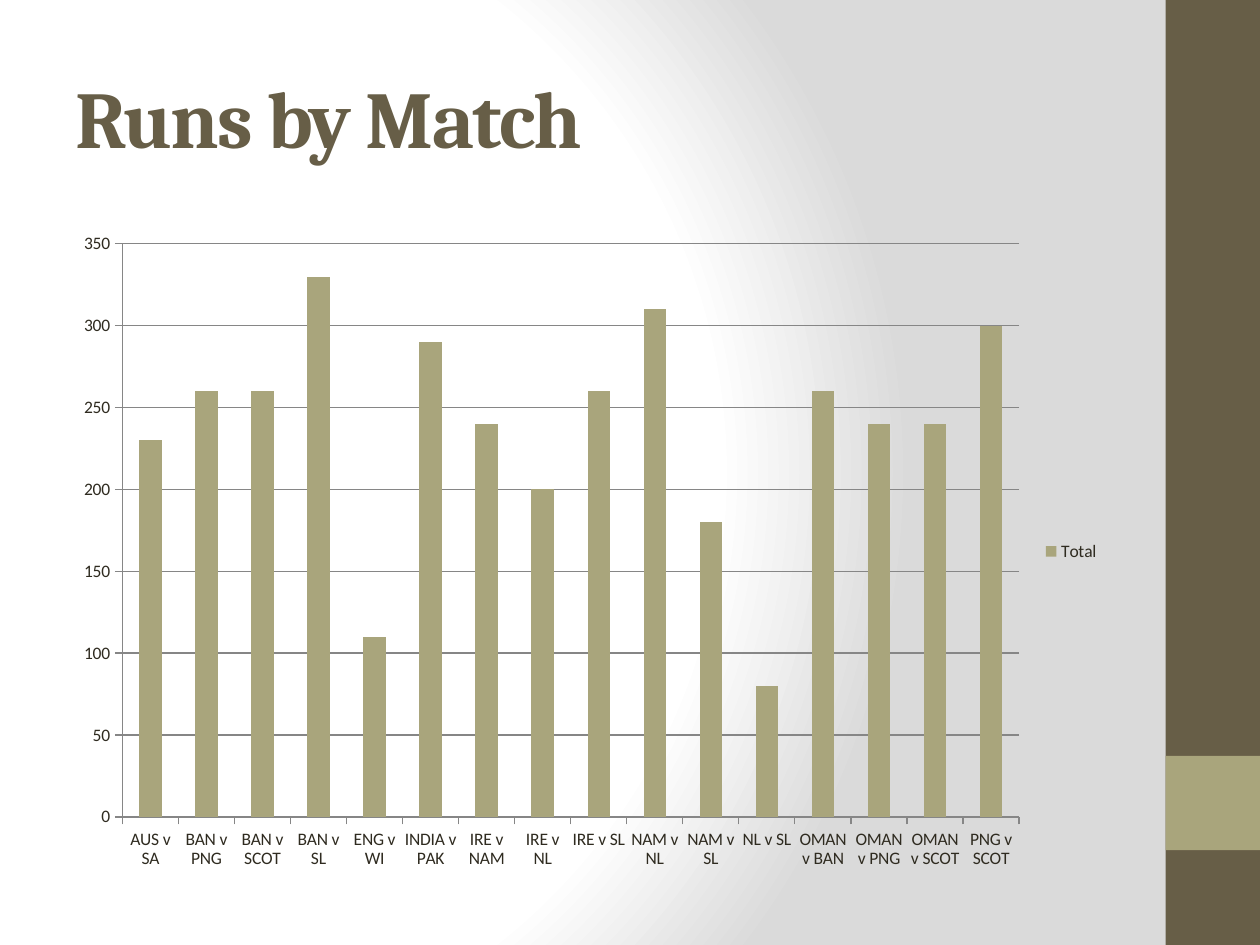
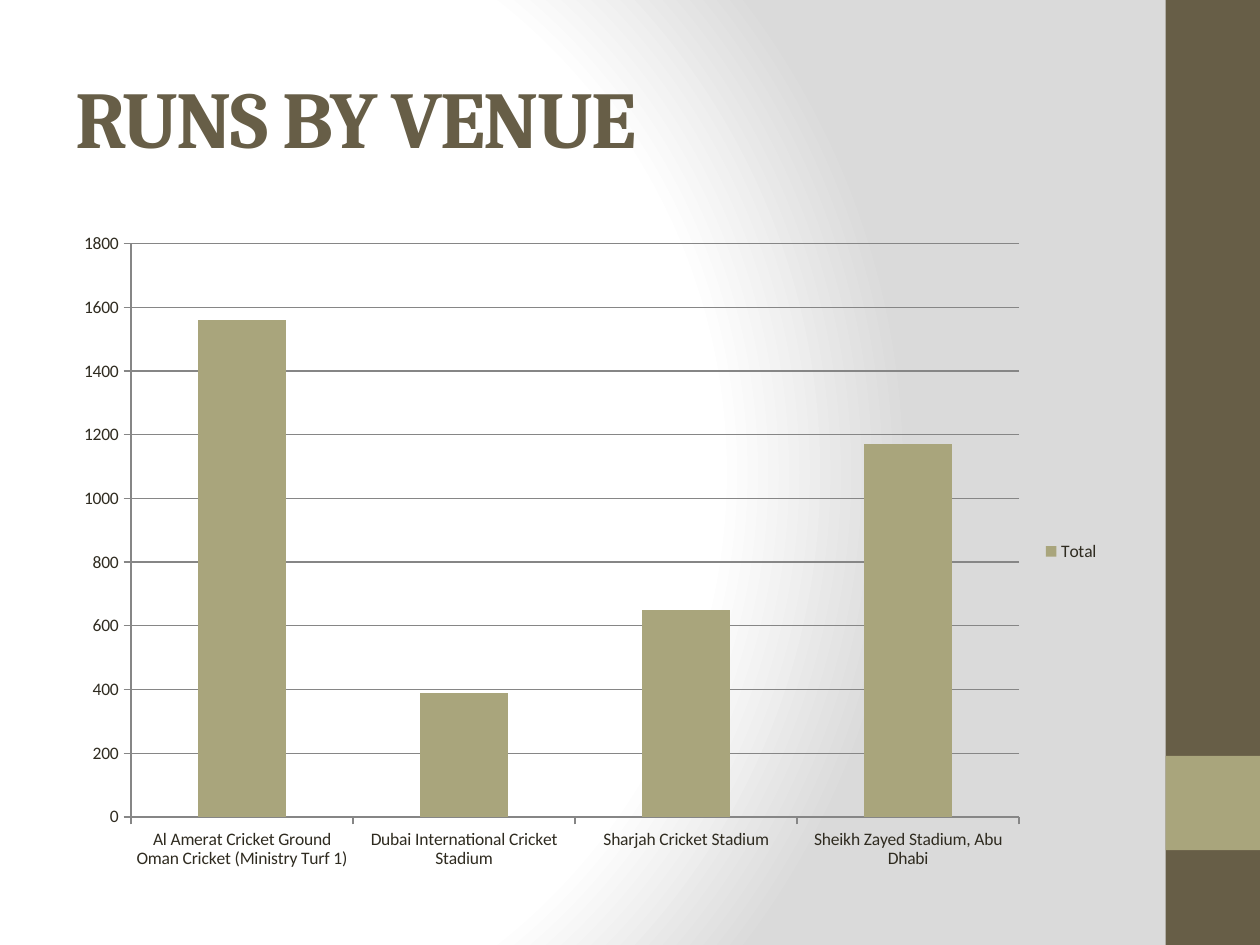
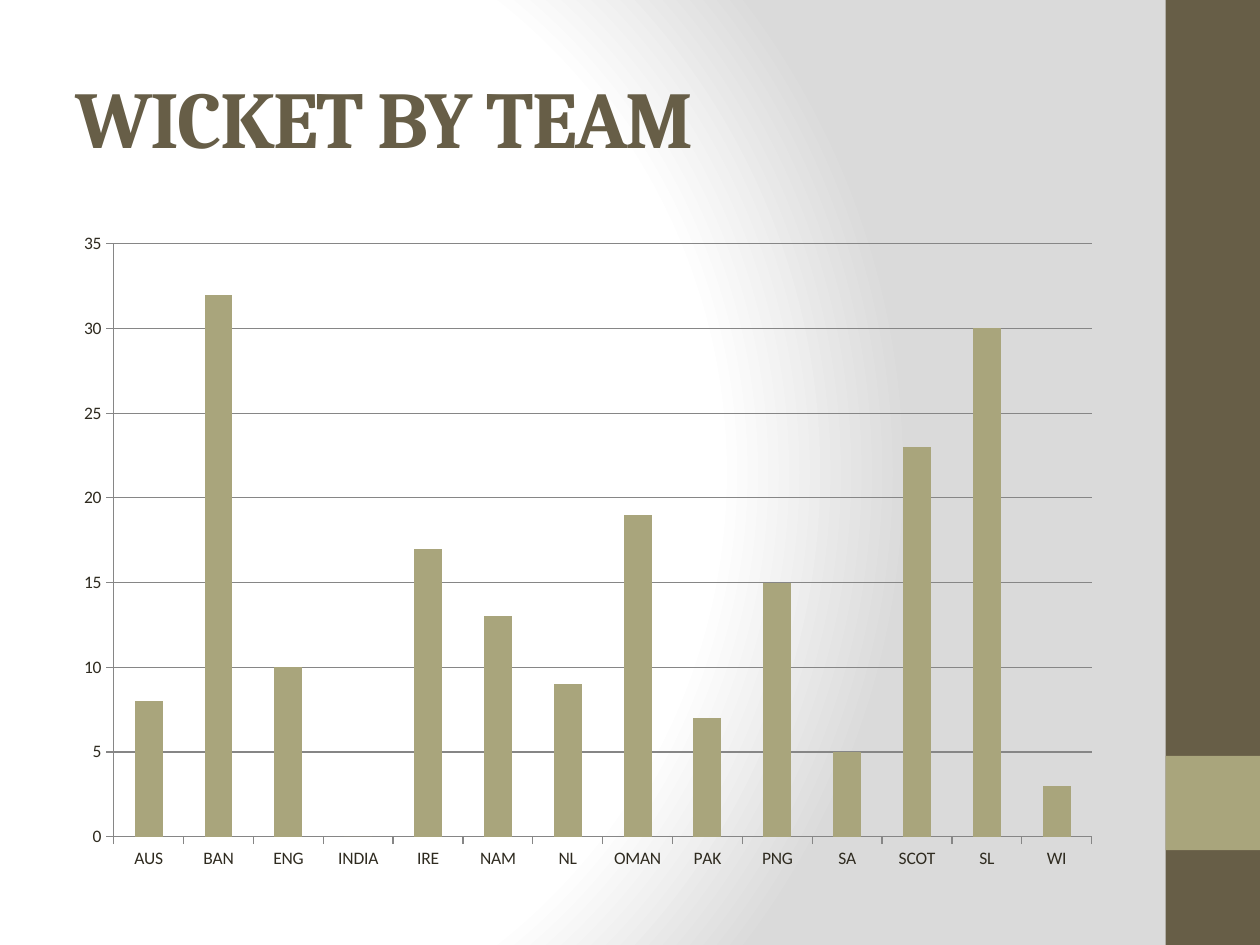
from dataclasses import dataclass

from lxml import etree
from pptx import Presentation
from pptx.chart.data import CategoryChartData
from pptx.dml.color import RGBColor
from pptx.enum.chart import XL_CHART_TYPE, XL_LEGEND_POSITION, XL_TICK_MARK
from pptx.enum.shapes import MSO_SHAPE
from pptx.enum.text import MSO_ANCHOR
from pptx.util import Cm, Pt

COLUMNS = XL_CHART_TYPE.COLUMN_CLUSTERED
LEGEND_RIGHT = XL_LEGEND_POSITION.RIGHT
TICK_OUT = XL_TICK_MARK.OUTSIDE
TICK_NONE = XL_TICK_MARK.NONE
RECTANGLE = MSO_SHAPE.RECTANGLE
MIDDLE = MSO_ANCHOR.MIDDLE


@dataclass(frozen=True)
class Theme:
    dark: str = "675E47"
    accent: str = "A9A57C"
    ink: str = "2F2B20"
    axis: str = "868686"
    light: str = "FFFFFF"
    shade: str = "DADADA"
    title_font: str = "Cambria"
    body_font: str = "Calibri"
    title_size: int = 46
    chart_size: int = 10
    title_spacing: int = -100  # hundredths of a point


# Page geometry, in centimetres
PAGE_WIDTH, PAGE_HEIGHT = 25.4, 19.05
BAND_LEFT, BAND_WIDTH = 23.5, 1.9
ACCENT_TOP = 15.24
MARGIN, CONTENT_WIDTH = 1.27, 21.16
TITLE_TOP, TITLE_HEIGHT = 0.76, 3.18
CHART_TOP, CHART_HEIGHT = 4.45, 13.33

GRADIENT = """
<a:gradFill xmlns:a="http://schemas.openxmlformats.org/drawingml/2006/main" rotWithShape="1">
  <a:gsLst>
    <a:gs pos="0"><a:srgbClr val="{light}"/></a:gs>
    <a:gs pos="75000"><a:srgbClr val="{light}"/></a:gs>
    <a:gs pos="100000"><a:srgbClr val="{shade}"/></a:gs>
  </a:gsLst>
  <a:path path="circle"><a:fillToRect l="20000" t="50000" r="100000" b="50000"/></a:path>
</a:gradFill>"""


class ReportDeck:
    def __init__(self, theme):
        self.theme = theme
        self.page = None
        self.deck = Presentation()
        self.deck.slide_width = Cm(PAGE_WIDTH)
        self.deck.slide_height = Cm(PAGE_HEIGHT)
        self.background()

    def background(self):
        """Give the master a radial gradient that every page inherits."""
        master = self.deck.slide_master
        master.background.fill.solid()
        solid = master.element.xpath("p:cSld/p:bg/p:bgPr/a:solidFill")[0]
        gradient = etree.fromstring(
            GRADIENT.format(light=self.theme.light, shade=self.theme.shade))
        solid.getparent().replace(solid, gradient)

    def new_page(self, title):
        self.page = self.deck.slides.add_slide(self.deck.slide_layouts[6])
        self.band(0, PAGE_HEIGHT, self.theme.dark)
        self.band(ACCENT_TOP, BAND_WIDTH, self.theme.accent)
        self.title(title)

    def band(self, top, height, color):
        shape = self.page.shapes.add_shape(
            RECTANGLE, Cm(BAND_LEFT), Cm(top), Cm(BAND_WIDTH), Cm(height))
        shape.shadow.inherit = False
        shape.fill.solid()
        shape.fill.fore_color.rgb = RGBColor.from_string(color)
        shape.line.fill.background()

    def title(self, text):
        box = self.page.shapes.add_textbox(
            Cm(MARGIN), Cm(TITLE_TOP), Cm(CONTENT_WIDTH), Cm(TITLE_HEIGHT))
        frame = box.text_frame
        frame.word_wrap = True
        frame.vertical_anchor = MIDDLE
        span = frame.paragraphs[0].add_run()
        span.text = text
        self.style_font(span.font, self.theme.title_font,
                        self.theme.title_size, self.theme.dark)
        span.font.bold = True
        span.font._element.set("spc", str(self.theme.title_spacing))

    def style_font(self, font, name, size, color):
        font.name = name
        font.size = Pt(size)
        font.color.rgb = RGBColor.from_string(color)

    def column_chart(self, series_name, values, top_value, step, legend):
        data = CategoryChartData()
        data.categories = list(values)
        data.add_series(series_name, list(values.values()))
        chart = self.page.shapes.add_chart(
            COLUMNS, Cm(MARGIN), Cm(CHART_TOP), Cm(CONTENT_WIDTH),
            Cm(CHART_HEIGHT), data).chart
        self.style_font(chart.font, self.theme.body_font,
                        self.theme.chart_size, self.theme.ink)
        chart.has_title = False
        chart.has_legend = legend
        if legend:
            chart.legend.position = LEGEND_RIGHT
            chart.legend.include_in_layout = False

        # Columns
        plot = chart.plots[0]
        plot.gap_width = 150
        plot.vary_by_categories = False
        fill = plot.series[0].format.fill
        fill.solid()
        fill.fore_color.rgb = RGBColor.from_string(self.theme.accent)

        # Axes and gridlines
        scale = chart.value_axis
        scale.minimum_scale, scale.maximum_scale = 0, top_value
        scale.major_unit = step
        scale.has_major_gridlines = True
        for axis in (chart.category_axis, scale):
            axis.major_tick_mark = TICK_OUT
            axis.minor_tick_mark = TICK_NONE
            self.style_line(axis.format.line)
        self.style_line(scale.major_gridlines.format.line)

    def style_line(self, line):
        line.color.rgb = RGBColor.from_string(self.theme.axis)
        line.width = Pt(0.75)


RUNS_BY_MATCH = {
    "AUS v SA": 230, "BAN v PNG": 260, "BAN v SCOT": 260, "BAN v SL": 330,
    "ENG v WI": 110, "INDIA v PAK": 290, "IRE v NAM": 240, "IRE v NL": 200,
    "IRE v SL": 260, "NAM v NL": 310, "NAM v SL": 180, "NL v SL": 80,
    "OMAN v BAN": 260, "OMAN v PNG": 240, "OMAN v SCOT": 240, "PNG v SCOT": 300,
}
RUNS_BY_VENUE = {
    "Al Amerat Cricket Ground Oman Cricket (Ministry Turf 1)": 1560,
    "Dubai International Cricket Stadium": 390,
    "Sharjah Cricket Stadium": 650,
    "Sheikh Zayed Stadium, Abu Dhabi": 1170,
}
WICKETS_BY_TEAM = {
    "AUS": 8, "BAN": 32, "ENG": 10, "INDIA": 0, "IRE": 17, "NAM": 13, "NL": 9,
    "OMAN": 19, "PAK": 7, "PNG": 15, "SA": 5, "SCOT": 23, "SL": 30, "WI": 3,
}

# Title, series name, values, top of the scale, step, legend
PAGES = [
    ("Runs by Match", "Total", RUNS_BY_MATCH, 350, 50, True),
    ("RUNS BY VENUE", "Total", RUNS_BY_VENUE, 1800, 200, True),
    ("WICKET BY TEAM", "Series 1", WICKETS_BY_TEAM, 35, 5, False),
]


def main():
    report = ReportDeck(Theme())
    for title, *chart in PAGES:
        report.new_page(title)
        report.column_chart(*chart)
    report.deck.save("out.pptx")


if __name__ == "__main__":
    main()
